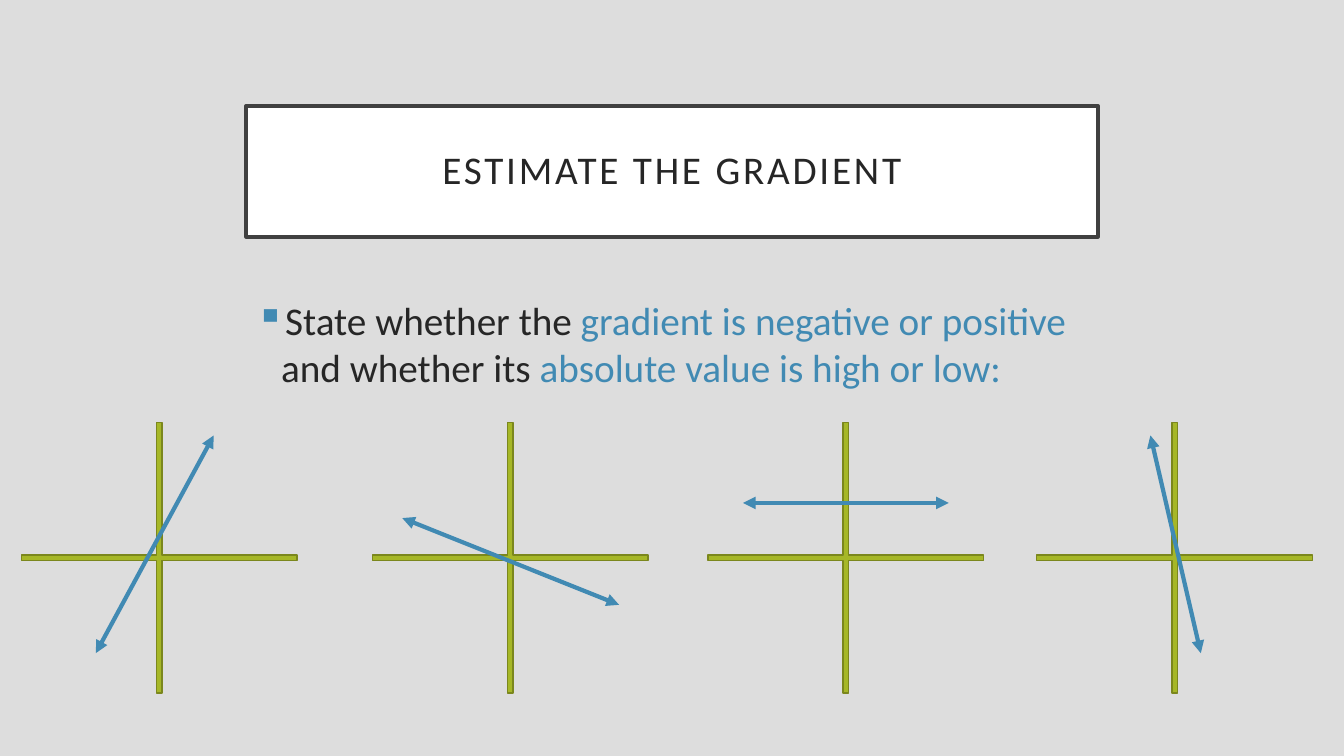
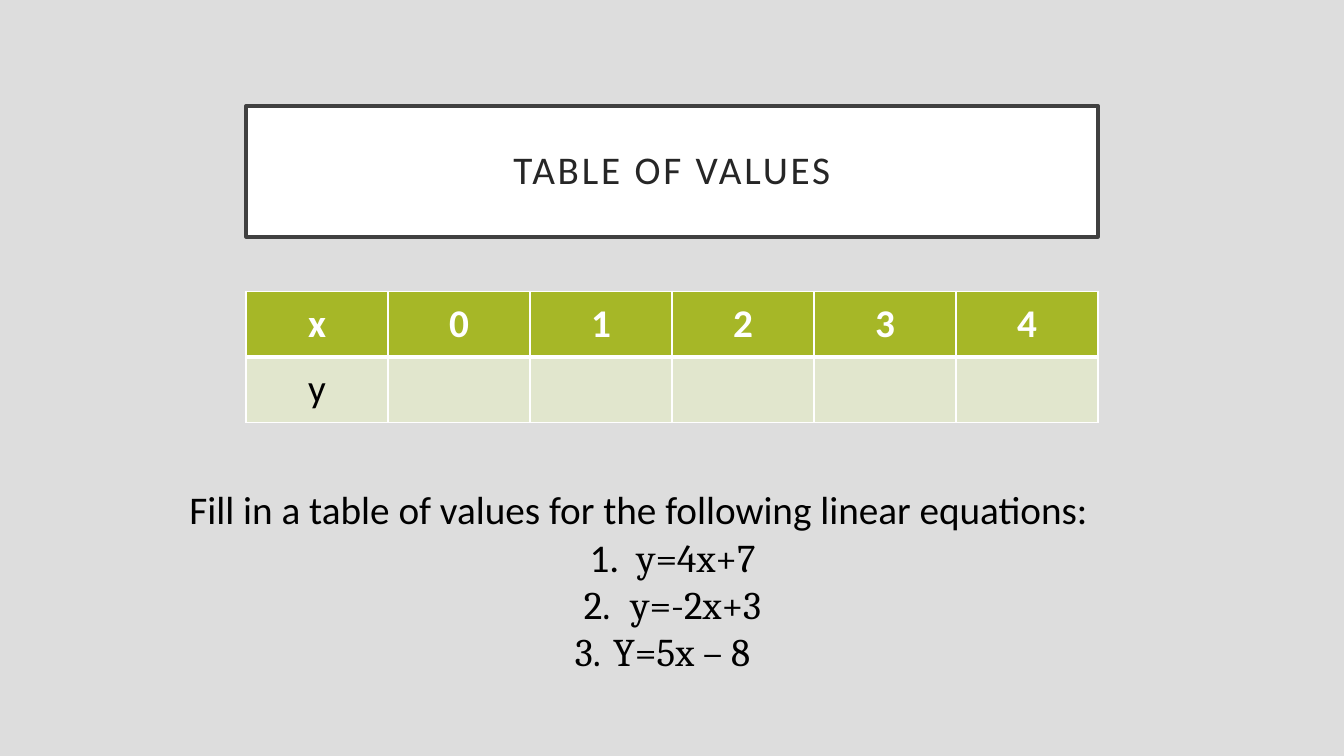
import pptx
import pptx.dml.color
import pptx.enum.shapes
import pptx.enum.text
import pptx.oxml
import pptx.oxml.ns
import pptx.util
from lxml import etree

Inches, Pt = pptx.util.Inches, pptx.util.Pt
RGBColor = pptx.dml.color.RGBColor
PP_ALIGN = pptx.enum.text.PP_ALIGN
MSO_ANCHOR = pptx.enum.text.MSO_ANCHOR
qn = pptx.oxml.ns.qn

BACKGROUND = RGBColor(0xDD, 0xDD, 0xDD)
WHITE = RGBColor(0xFF, 0xFF, 0xFF)
BLACK = RGBColor(0, 0, 0)
INK = RGBColor(0x26, 0x26, 0x26)
FRAME = RGBColor(0x40, 0x40, 0x40)
BLUE = RGBColor(0x41, 0x8A, 0xB3)
GREEN = RGBColor(0xA6, 0xB7, 0x27)
DARK_GREEN = RGBColor(0x7B, 0x87, 0x1D)
PALE_GREEN = RGBColor(0xE1, 0xE6, 0xCD)

COLUMN_LEFT, COLUMN_WIDTH, BLOCK_HEIGHT = 2.44, 8.45, 1.3
TITLE_TOP, CONTENT_TOP = 1.05, 2.89
PLUS_TOP, PLUS_WIDTH, PLUS_HEIGHT = 3.71, 3.72, 3.65

# Left edge of each set of axes, then the line's ends relative to its box
GRAPHS = [
    (-0.28, (2.4, 0.61), (1.23, 2.77)),
    (3.2, (0.79, 1.43), (2.94, 2.29)),
    (6.53, (2.88, 1.28), (0.84, 1.28)),
    (9.79, (1.62, 0.61), (2.12, 2.77)),
]


def add_run(p, text, color=BLACK, font="Calibri", size=28, bold=False, spacing=None):
    r = p.add_run()
    r.text = text
    r.font.name, r.font.size, r.font.bold = font, Pt(size), bold
    r.font.color.rgb = color
    if spacing is not None:
        r.font._element.set("spc", str(int(spacing * 100)))


def add_child(parent, tag, **attributes):
    return etree.SubElement(parent, qn(tag), attributes)


def set_hanging(p, indent, right=0):
    """Set a hanging indent and return the paragraph properties."""
    pPr = p._p.get_or_add_pPr()
    pPr.set("marL", str(Inches(indent)))
    pPr.set("indent", str(-Inches(indent)))
    if right:
        pPr.set("marR", str(Inches(right)))
    return pPr


def add_text_box(slide, left, top, width, height):
    box = slide.shapes.add_textbox(
        Inches(left), Inches(top), Inches(width), Inches(height))
    box.text_frame.word_wrap = True
    return box.text_frame


def add_titled_slide(prs, title):
    slide = prs.slides.add_slide(prs.slide_layouts[5])
    sp = slide.shapes.title
    sp.left, sp.top = Inches(COLUMN_LEFT), Inches(TITLE_TOP)
    sp.width, sp.height = Inches(COLUMN_WIDTH), Inches(BLOCK_HEIGHT)
    sp.fill.solid()
    sp.fill.fore_color.rgb = WHITE
    sp.line.color.rgb = FRAME
    sp.line.width = Pt(2.5)
    tf = sp.text_frame
    tf.auto_size = pptx.enum.text.MSO_AUTO_SIZE.NONE
    tf.vertical_anchor = MSO_ANCHOR.MIDDLE
    tf.margin_left = tf.margin_right = Inches(0.2)
    tf.margin_top = tf.margin_bottom = Inches(0.2)
    p = tf.paragraphs[0]
    p.alignment = PP_ALIGN.CENTER
    p.line_spacing = 0.9
    add_run(p, title, color=INK, spacing=2)
    return slide


def add_instruction(slide, left, top, width, height):
    p = add_text_box(slide, left, top, width, height).paragraphs[0]
    pPr = set_hanging(p, 0.25)
    add_child(add_child(pPr, "a:buClr"), "a:srgbClr", val=str(BLUE))
    add_child(pPr, "a:buChar", char="▪")
    add_run(p, "State whether the ", color=INK)
    add_run(p, "gradient is negative or positive ", color=BLUE)
    add_run(p, "and whether its ", color=INK)
    add_run(p, "absolute value is high or low:", color=BLUE)


def add_graph(slide, left, top, start, end):
    """Draw a pair of axes with a double-headed line across them."""
    shapes = slide.shapes.add_group_shape().shapes
    axes = shapes.add_shape(
        pptx.enum.shapes.MSO_SHAPE.MATH_PLUS, Inches(left), Inches(top),
        Inches(PLUS_WIDTH), Inches(PLUS_HEIGHT))
    axes.adjustments[0] = 0.015
    axes.shadow.inherit = False
    axes.fill.solid()
    axes.fill.fore_color.rgb = GREEN
    axes.line.color.rgb = DARK_GREEN
    axes.line.width = Pt(1)

    line = shapes.add_connector(
        pptx.enum.shapes.MSO_CONNECTOR.STRAIGHT,
        Inches(left + start[0]), Inches(top + start[1]),
        Inches(left + end[0]), Inches(top + end[1]))
    line.line.color.rgb = BLUE
    line.line.width = Pt(3)
    spPr = line._element.spPr
    ln = spPr.find(qn("a:ln"))
    for tag in ("a:headEnd", "a:tailEnd"):
        add_child(ln, tag, type="triangle")
    add_child(spPr, "a:effectLst")


def set_borders(cell, **widths):
    """Give the cell white borders; widths in points by side (L, R, T, B)."""
    tcPr = cell._tc.get_or_add_tcPr()
    for i, side in enumerate("LRTB"):
        ln = pptx.oxml.parse_xml(
            f'<a:ln{side} {pptx.oxml.ns.nsdecls("a")} w="{Pt(widths.get(side, 1))}">'
            f'<a:solidFill><a:srgbClr val="{WHITE}"/></a:solidFill></a:ln{side}>')
        tcPr.insert(i, ln)


def add_value_table(slide, left, top, width, height):
    rows = [["x", "0", "1", "2", "3", "4"], ["y", "", "", "", "", ""]]
    table = slide.shapes.add_table(
        len(rows), len(rows[0]), Inches(left), Inches(top),
        Inches(width), Inches(height)).table
    for i, row in enumerate(rows):
        header = i == 0
        for j, text in enumerate(row):
            cell = table.cell(i, j)
            cell.vertical_anchor = MSO_ANCHOR.MIDDLE
            cell.fill.solid()
            cell.fill.fore_color.rgb = GREEN if header else PALE_GREEN
            set_borders(cell, **({"B": 3} if header else {"T": 3}))
            if text:
                p = cell.text_frame.paragraphs[0]
                p.alignment = PP_ALIGN.CENTER
                add_run(p, text, color=WHITE if header else BLACK, bold=header)


def add_equations(slide, left, top, width, height):
    tf = add_text_box(slide, left, top, width, height)
    add_run(tf.paragraphs[0],
            "Fill in a table of values for the following linear equations:")
    equations = [
        ([(" ", "Calibri"), ("y=4x+7", "Cambria")], 0),
        ([(" y=-2x+3", "Cambria")], 0),
        ([("Y=5x – 8", "Cambria")], 0.2),
    ]
    for runs, right in equations:
        p = tf.add_paragraph()
        p.alignment = PP_ALIGN.CENTER
        add_child(set_hanging(p, 0.38, right), "a:buAutoNum", type="arabicPeriod")
        for text, font in runs:
            add_run(p, text, font=font)


def build_gradient_slide(prs):
    slide = add_titled_slide(prs, "ESTIMATE THE GRADIENT")
    add_instruction(slide, COLUMN_LEFT, CONTENT_TOP, COLUMN_WIDTH, BLOCK_HEIGHT)
    for left, start, end in GRAPHS:
        add_graph(slide, left, PLUS_TOP, start, end)


def build_values_slide(prs):
    slide = add_titled_slide(prs, "TABLE OF VALUES")
    add_value_table(slide, COLUMN_LEFT, CONTENT_TOP, COLUMN_WIDTH, BLOCK_HEIGHT)
    add_equations(slide, 1.78, 4.77, 9.78, 1.99)


def main():
    prs = pptx.Presentation()
    prs.slide_width, prs.slide_height = Inches(13.33), Inches(7.5)
    fill = prs.slide_master.background.fill
    fill.solid()
    fill.fore_color.rgb = BACKGROUND
    build_gradient_slide(prs)
    build_values_slide(prs)
    prs.save("out.pptx")


if __name__ == "__main__":
    main()
